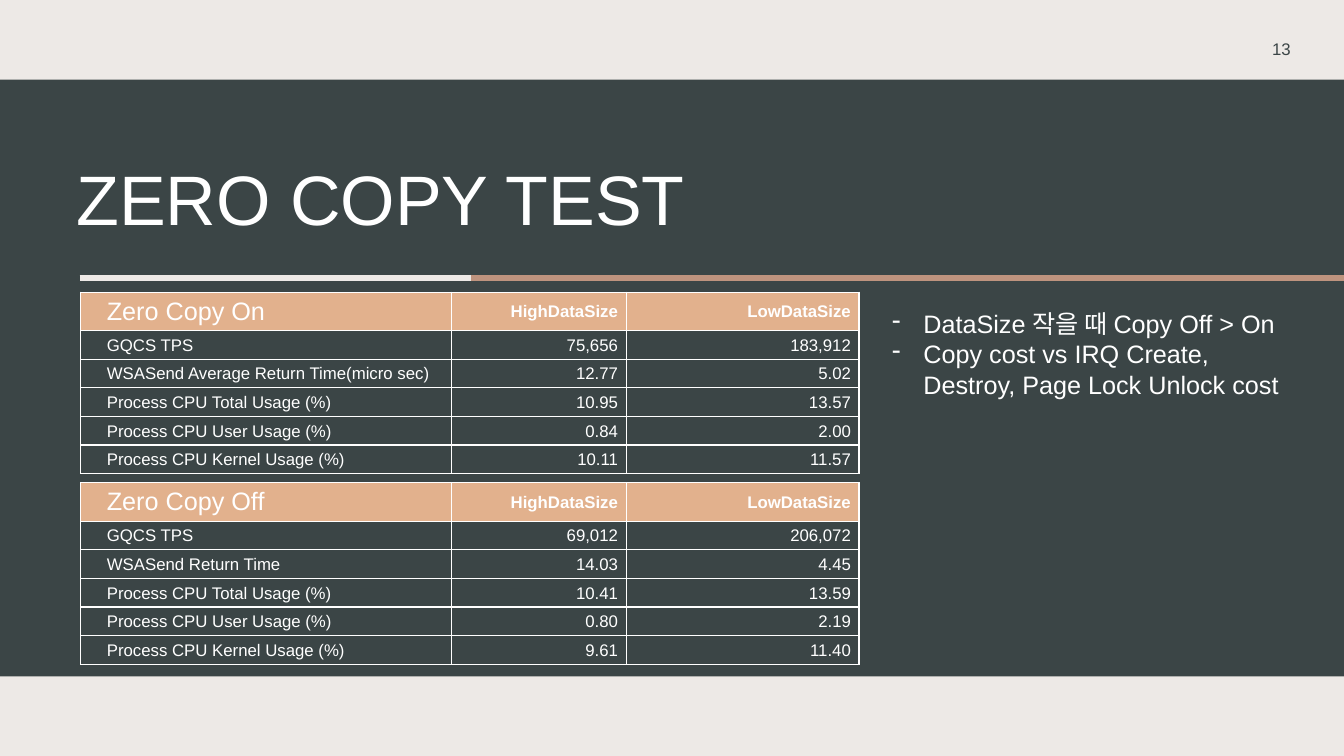
import pptx
import pptx.util
import pptx.dml.color
import pptx.enum.shapes
import pptx.enum.text
import pptx.oxml
import pptx.oxml.ns
from dataclasses import dataclass
from lxml import etree

Inches, Pt = pptx.util.Inches, pptx.util.Pt
ALIGN = pptx.enum.text.PP_ALIGN
ANCHOR = pptx.enum.text.MSO_ANCHOR

TITLE = "ZERO COPY TEST"
PAGE = "13"
TABLES = [
    [
        ("Zero Copy On", "HighDataSize", "LowDataSize"),
        ("GQCS TPS", "75,656", "183,912"),
        ("WSASend Average Return Time(micro sec)", "12.77", "5.02"),
        ("Process CPU Total Usage (%)", "10.95", "13.57"),
        ("Process CPU User Usage (%)", "0.84", "2.00"),
        ("Process CPU Kernel Usage (%)", "10.11", "11.57"),
    ],
    [
        ("Zero Copy Off", "HighDataSize", "LowDataSize"),
        ("GQCS TPS", "69,012", "206,072"),
        ("WSASend Return Time", "14.03", "4.45"),
        ("Process CPU Total Usage (%)", "10.41", "13.59"),
        ("Process CPU User Usage (%)", "0.80", "2.19"),
        ("Process CPU Kernel Usage (%)", "9.61", "11.40"),
    ],
]
NOTES = [
    "DataSize 작을 때 Copy Off > On",
    "Copy cost vs IRQ Create, Destroy, Page Lock Unlock cost",
]


@dataclass(frozen=True)
class Theme:
    font: str = "Arial"
    paper: str = "EDE9E6"
    panel: str = "3B4546"
    accent: str = "BE937E"
    header: str = "E2B18D"
    white: str = "FFFFFF"
    title_size: int = 50
    large: int = 18
    small: int = 12
    table_leading: float = 14.2


THEME = Theme()
WIDTH, HEIGHT = 13.33, 7.5
PANEL_TOP, PANEL_HEIGHT = 0.79, 5.92
RULE_Y, RULE_STOPS = 2.76, (0.79, 4.67, WIDTH)
TABLE_LEFT, TABLE_TOP, TABLE_HEIGHT, TABLE_GAP = 0.8, 2.9, 1.79, 0.1
COLUMNS = (3.68, 1.73, 2.31)
HEADER_HEIGHT = 0.37


def rgb(value):
    return pptx.dml.color.RGBColor.from_string(value)


def style(p, size, color=THEME.white, bold=False, align=ALIGN.LEFT):
    p.alignment = align
    p.font.name = THEME.font
    p.font.size = Pt(size)
    p.font.bold = bold
    p.font.color.rgb = rgb(color)


def add_panel(slide):
    sp = slide.shapes.add_shape(
        pptx.enum.shapes.MSO_SHAPE.RECTANGLE,
        0, Inches(PANEL_TOP), Inches(WIDTH), Inches(PANEL_HEIGHT))
    sp.shadow.inherit = False
    sp.fill.solid()
    sp.fill.fore_color.rgb = rgb(THEME.panel)
    sp.line.fill.background()
    # Keep the panel behind the title placeholder
    slide.shapes._spTree.insert(2, sp._element)


def add_rule(slide, start, end, color):
    line = slide.shapes.add_connector(
        pptx.enum.shapes.MSO_CONNECTOR.STRAIGHT,
        Inches(start), Inches(RULE_Y), Inches(end), Inches(RULE_Y))
    line.line.color.rgb = rgb(color)
    line.line.width = Pt(4.5)
    etree.SubElement(line._element.spPr, pptx.oxml.ns.qn("a:effectLst"))


def add_text(slide, left, top, width, height):
    sp = slide.shapes.add_textbox(*map(Inches, (left, top, width, height)))
    sp.text_frame.word_wrap = True
    return sp.text_frame


def add_borders(cell):
    """Outline the cell; borders precede the fill in its properties."""
    tc_pr = cell._tc.get_or_add_tcPr()
    for i, side in enumerate(("lnL", "lnR", "lnT", "lnB")):
        tc_pr.insert(i, pptx.oxml.parse_xml(
            f'<a:{side} {pptx.oxml.ns.nsdecls("a")} w="12700"><a:solidFill>'
            f'<a:srgbClr val="{THEME.white}"/></a:solidFill></a:{side}>'))


def fill_cell(cell, text, is_header, is_label):
    cell.vertical_anchor = ANCHOR.MIDDLE
    cell.margin_left = Inches(0.26 if is_label else 0.08)
    cell.margin_right = Inches(0.08)
    cell.margin_top = cell.margin_bottom = Inches(0.04)
    if is_header:
        cell.fill.solid()
        cell.fill.fore_color.rgb = rgb(THEME.header)
    else:
        cell.fill.background()
    add_borders(cell)
    cell.text = text
    p = cell.text_frame.paragraphs[0]
    is_caption = is_header and is_label
    style(p, THEME.large if is_caption else THEME.small,
          bold=is_header and not is_label,
          align=ALIGN.LEFT if is_label else ALIGN.RIGHT)
    if not is_caption:
        p.line_spacing = Pt(THEME.table_leading)


def add_results(slide, rows, top):
    table = slide.shapes.add_table(
        len(rows), len(COLUMNS), Inches(TABLE_LEFT), Inches(top),
        Inches(sum(COLUMNS)), Inches(TABLE_HEIGHT)).table
    table.first_row = table.horz_banding = False
    for column, width in zip(table.columns, COLUMNS):
        column.width = Inches(width)
    body_height = (TABLE_HEIGHT - HEADER_HEIGHT) / (len(rows) - 1)
    for r, row in enumerate(rows):
        table.rows[r].height = Inches(body_height if r else HEADER_HEIGHT)
        for c, text in enumerate(row):
            fill_cell(table.cell(r, c), text, r == 0, c == 0)


def add_notes_list(slide):
    tf = add_text(slide, 8.75, 3.01, 4.15, 1.31)
    for i, text in enumerate(NOTES):
        p = tf.add_paragraph() if i else tf.paragraphs[0]
        p.text = text
        style(p, THEME.large)
        p_pr = p._p.get_or_add_pPr()
        p_pr.set("marL", str(Inches(0.31)))
        p_pr.set("indent", str(-Inches(0.31)))
        bullet = pptx.oxml.parse_xml(
            f'<a:buChar {pptx.oxml.ns.nsdecls("a")} char="-"/>')
        p_pr.insert_element_before(bullet, "a:tabLst", "a:defRPr", "a:extLst")


def set_title(slide):
    sp = slide.shapes.title
    sp.left, sp.top, sp.width, sp.height = map(Inches, (0.66, 1.6, 11.5, 0.63))
    tf = sp.text_frame
    tf.text = TITLE
    tf.auto_size = pptx.enum.text.MSO_AUTO_SIZE.NONE
    tf.vertical_anchor = ANCHOR.TOP
    tf.margin_top = Inches(0.1)
    p = tf.paragraphs[0]
    style(p, THEME.title_size)
    p.line_spacing = 0.8


def main():
    prs = pptx.Presentation()
    prs.slide_width, prs.slide_height = Inches(WIDTH), Inches(HEIGHT)
    slide = prs.slides.add_slide(prs.slide_layouts.get_by_name("Title Only"))
    slide.background.fill.solid()
    slide.background.fill.fore_color.rgb = rgb(THEME.paper)

    add_panel(slide)
    start, middle, end = RULE_STOPS
    add_rule(slide, middle, end, THEME.accent)
    add_rule(slide, start, middle, THEME.paper)
    set_title(slide)

    tf = add_text(slide, 11.07, 0.33, 1.83, 0.3)
    tf.vertical_anchor = ANCHOR.MIDDLE
    tf.text = PAGE
    style(tf.paragraphs[0], THEME.small, THEME.panel, align=ALIGN.RIGHT)

    for i, rows in enumerate(TABLES):
        add_results(slide, rows, TABLE_TOP + i * (TABLE_HEIGHT + TABLE_GAP))
    add_notes_list(slide)
    prs.save("out.pptx")


if __name__ == "__main__":
    main()
